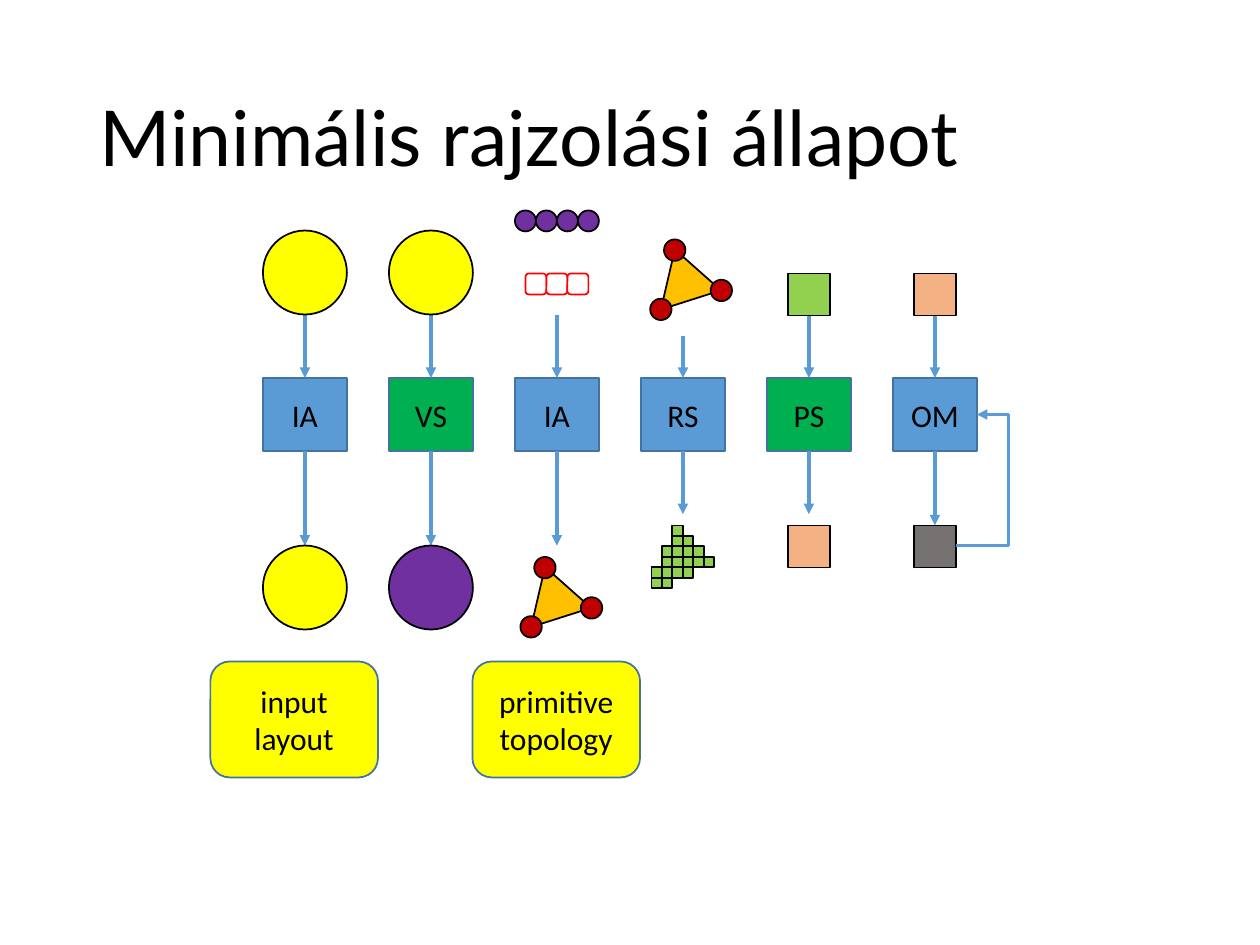
"""Build the slide on the minimal drawing state of a graphics pipeline."""
import pptx
import pptx.util
import pptx.dml.color
import pptx.enum.shapes
import pptx.enum.text
import pptx.oxml
import pptx.oxml.ns

Inches = pptx.util.Inches
Pt = pptx.util.Pt
Shape = pptx.enum.shapes.MSO_SHAPE
Connector = pptx.enum.shapes.MSO_CONNECTOR
Align = pptx.enum.text.PP_ALIGN
Anchor = pptx.enum.text.MSO_ANCHOR

BLUE, GREEN, LIME, YELLOW = "5B9BD5", "00B050", "92D050", "FFFF00"
PURPLE, ORANGE, RED, PEACH = "7030A0", "FFC000", "C00000", "F4B183"
GRAY, BLACK, WHITE, BORDER = "767171", "000000", "FFFFFF", "43739E"
UNIT = 1 / 12
FIRST_CENTER = 2.42
STAGE_TOP, STAGE_HEIGHT = 3, 0.58
STAGE_BOTTOM = STAGE_TOP + STAGE_HEIGHT


def color(value):
    return pptx.dml.color.RGBColor.from_string(value)


def assign(target, values):
    for name, value in values.items():
        setattr(target, name, value)


class PipelineSlide:
    """Holds the style and the current slide, and draws each kind of element."""

    body_font = {"name": "Calibri", "size": Pt(18)}
    title_font = {"name": "Lato", "size": Pt(44)}

    def __init__(self, presentation):
        self.slide = presentation.slides.add_slide(presentation.slide_layouts[5])
        self.shapes = self.slide.shapes

    def label(self, shape, lines, font, alignment, spacing=1.0):
        frame = shape.text_frame
        assign(frame, {"text": "\n".join(lines), "word_wrap": True,
                       "vertical_anchor": Anchor.MIDDLE})
        for paragraph in frame.paragraphs:
            assign(paragraph, {"alignment": alignment, "line_spacing": spacing})
            assign(paragraph.runs[0].font, font)
            paragraph.runs[0].font.color.rgb = color(BLACK)

    def title(self, text):
        title = self.shapes.title
        assign(title, {"left": Inches(0.69), "top": Inches(0.4),
                       "width": Inches(8.62), "height": Inches(1.45)})
        self.label(title, [text], self.title_font, Align.LEFT, 0.9)
        title.text_frame.auto_size = pptx.enum.text.MSO_AUTO_SIZE.NONE

    def shape(self, kind, left, top, width, height, fill, line=BLACK,
              lines=(), rotation=0, parent=None):
        shapes = parent.shapes if parent else self.shapes
        shape = shapes.add_shape(kind, Inches(left), Inches(top),
                                 Inches(width), Inches(height))
        shape.rotation = rotation
        shape.shadow.inherit = False
        shape.fill.solid()
        shape.fill.fore_color.rgb = color(fill)
        shape.line.color.rgb = color(line)
        shape.line.width = Pt(1)
        if lines:
            self.label(shape, lines, self.body_font, Align.CENTER)

    def centered(self, kind, center, top, size, fill):
        self.shape(kind, center - size / 2, top, size, size, fill)

    def arrow(self, start, end, bend=None):
        kind = Connector.STRAIGHT if bend is None else Connector.ELBOW
        arrow = self.shapes.add_connector(kind, *map(Inches, start + end))
        arrow.line.color.rgb = color(BLUE)
        arrow.line.width = Pt(2)
        namespace = pptx.oxml.ns.nsdecls("a")
        properties = arrow._element.spPr
        outline = properties.find(pptx.oxml.ns.qn("a:ln"))
        outline.append(
            pptx.oxml.parse_xml(f'<a:tailEnd {namespace} type="triangle"/>'))
        properties.append(pptx.oxml.parse_xml(f"<a:effectLst {namespace}/>"))
        if bend is not None:
            guides = properties.find(".//" + pptx.oxml.ns.qn("a:avLst"))
            guides.append(pptx.oxml.parse_xml(
                f'<a:gd {namespace} name="adj1" fmla="val {int(bend * 100000)}"/>'))

    def row(self, kind, left, top, count, fill, line=BLACK, parent=None):
        size = 2 * UNIT
        for index in range(count):
            self.shape(kind, left + index * size, top, size, size, fill, line,
                       parent=parent)

    def primitive(self, left, top):
        group = self.shapes.add_group_shape()
        tilt = {"rotation": 342.3, "parent": group}
        self.shape(Shape.ISOSCELES_TRIANGLE, left, top, 0.5, 0.42, ORANGE, **tilt)
        for x, y in ((0.1, -0.07), (-0.01, 0.4), (0.47, 0.25)):
            self.shape(Shape.OVAL, left + x, top + y, 0.17, 0.17, RED, **tilt)

    def fragments(self, left, top, spans):
        for row, (first, last) in enumerate(spans):
            for column in range(first, last + 1):
                self.shape(Shape.RECTANGLE, left + column * UNIT, top + row * UNIT,
                           UNIT, UNIT, LIME)


def main():
    presentation = pptx.Presentation()
    assign(presentation, {"slide_width": Inches(10), "slide_height": Inches(7.5)})
    pipeline = PipelineSlide(presentation)
    pipeline.title("Minimális rajzolási állapot")

    stages = (("IA", BLUE, 2.5, 4.33), ("VS", GREEN, 2.5, 4.33),
              ("IA", BLUE, 2.5, 4.33), ("RS", BLUE, 2.67, 4.08),
              ("PS", GREEN, 2.5, 4.08), ("OM", BLUE, 2.5, 4.17))
    centers = [FIRST_CENTER + index for index in range(len(stages))]
    for center, (name, fill, input_bottom, output_top) in zip(centers, stages):
        pipeline.shape(Shape.RECTANGLE, center - 4 * UNIT, STAGE_TOP, 8 * UNIT,
                       STAGE_HEIGHT, fill, BORDER, [name])
        pipeline.arrow((center, input_bottom), (center, STAGE_TOP))
        pipeline.arrow((center, STAGE_BOTTOM), (center, output_top))

    input_assembler, vertex, topology, rasterizer, pixel, merger = centers
    for center, top, fill in ((input_assembler, 1.83, YELLOW),
                              (input_assembler, 4.33, YELLOW),
                              (vertex, 1.83, YELLOW), (vertex, 4.33, PURPLE)):
        pipeline.centered(Shape.OVAL, center, top, 8 * UNIT, fill)
    for center, top, fill in ((pixel, 2.17, LIME), (pixel, 4.17, PEACH),
                              (merger, 2.17, PEACH), (merger, 4.17, GRAY)):
        pipeline.centered(Shape.RECTANGLE, center, top, 4 * UNIT, fill)
    pipeline.arrow((merger + 2 * UNIT, 4.33), (merger + 4 * UNIT, 3.29), bend=2.5)

    vertices = pipeline.shapes.add_group_shape()
    pipeline.row(Shape.OVAL, topology - 4 * UNIT, 1.67, 4, PURPLE, parent=vertices)
    pipeline.row(Shape.ROUNDED_RECTANGLE, topology - 3 * UNIT, 2.17, 3, WHITE, "FF0000")
    pipeline.primitive(4.14, 4.49)
    pipeline.primitive(5.17, 1.97)
    pipeline.fragments(rasterizer - 3 * UNIT, 4.17,
                       ((2, 2), (2, 3), (1, 4), (1, 5), (0, 3), (0, 1)))

    for left, lines in ((1.67, ["input layout"]), (3.75, ["primitive", "topology"])):
        pipeline.shape(Shape.ROUNDED_RECTANGLE, left, 5.25, 1.33, 0.92, YELLOW,
                       BORDER, lines)
    presentation.save("out.pptx")


if __name__ == "__main__":
    main()
